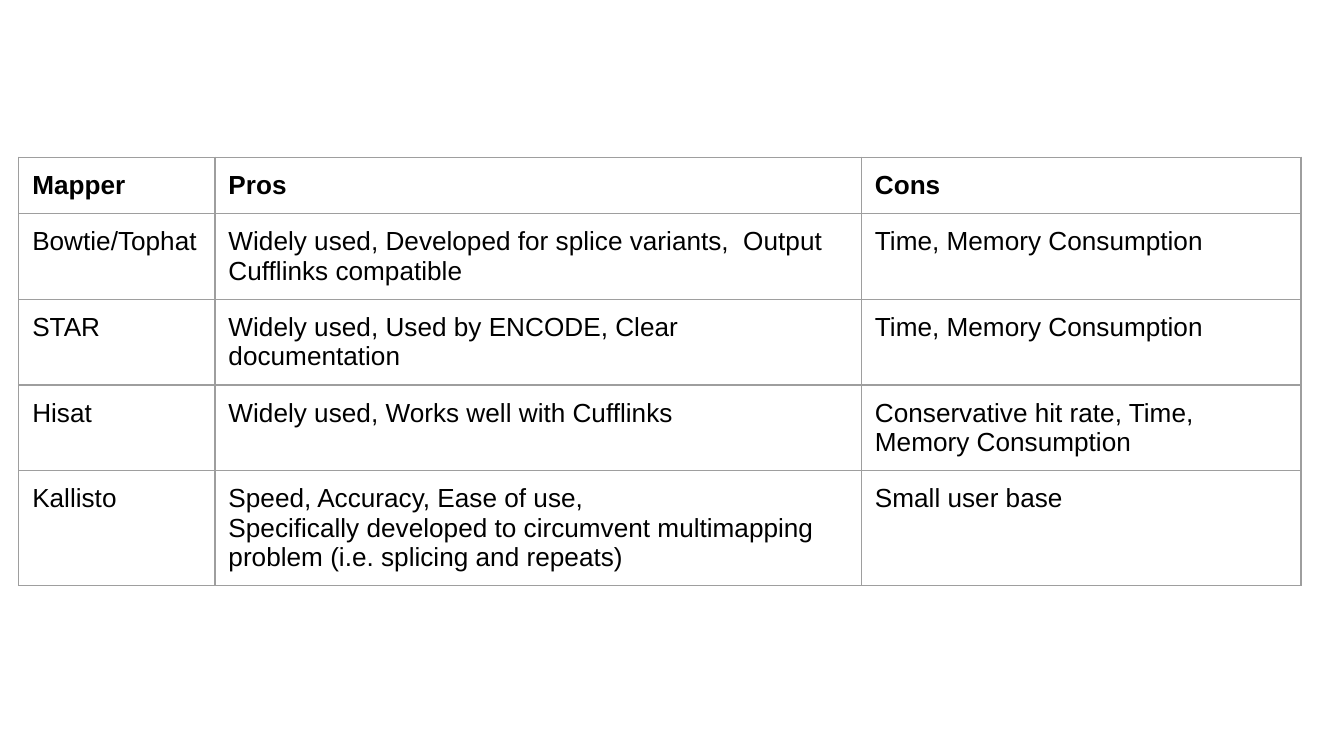
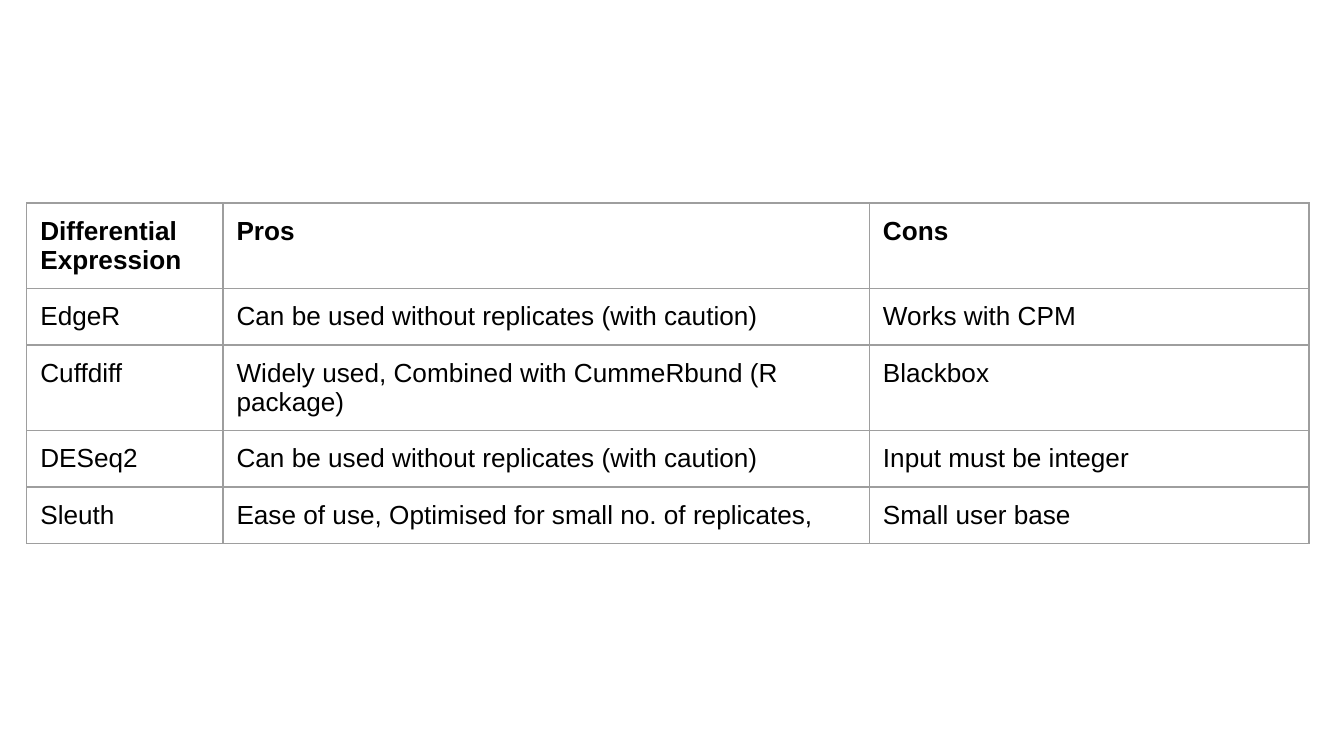
"""Two slides comparing read mappers and differential expression tools."""
import pptx
import pptx.dml.color
import pptx.oxml
import pptx.oxml.ns
import pptx.util

Inches = pptx.util.Inches
COLORS = {"text": "000000", "border": "9E9E9E", "page": "FFFFFF"}
FONT, TEXT_SIZE, BORDER_WIDTH = "Arial", 14, 0.75
SLIDE_WIDTH = 10
SLIDE_HEIGHT = SLIDE_WIDTH * 9 / 16
COLUMN_WIDTHS = (1.46, 4.81, 3.27)
ROW_HEIGHT, CELL_MARGIN = 0.42, 0.1

MAPPERS = [
    ("Mapper", "Pros", "Cons"),
    ("Bowtie/Tophat",
     "Widely used, Developed for splice variants,  Output Cufflinks compatible",
     "Time, Memory Consumption"),
    ("STAR", "Widely used, Used by ENCODE, Clear documentation",
     "Time, Memory Consumption"),
    ("Hisat", "Widely used, Works well with Cufflinks",
     "Conservative hit rate, Time, Memory Consumption"),
    ("Kallisto",
     "Speed, Accuracy, Ease of use,\nSpecifically developed to circumvent "
     "multimapping problem (i.e. splicing and repeats)",
     "Small user base"),
]
EXPRESSION_TOOLS = [
    ("Differential Expression", "Pros", "Cons"),
    ("EdgeR", "Can be used without replicates (with caution)", "Works with CPM"),
    ("Cuffdiff", "Widely used, Combined with CummeRbund (R package)", "Blackbox"),
    ("DESeq2", "Can be used without replicates (with caution)",
     "Input must be integer"),
    ("Sleuth", "Ease of use, Optimised for small no. of replicates,",
     "Small user base"),
]
PAGES = [(0.14, 1.17, MAPPERS), (0.2, 1.51, EXPRESSION_TOOLS)]


def rgb(name):
    return pptx.dml.color.RGBColor.from_string(COLORS[name])


def add_borders(cell):
    properties = cell._tc.get_or_add_tcPr()
    for side in ("lnL", "lnR", "lnT", "lnB"):
        properties.append(pptx.oxml.parse_xml(
            f'<a:{side} {pptx.oxml.ns.nsdecls("a")} w="{pptx.util.Pt(BORDER_WIDTH)}">'
            f'<a:solidFill><a:srgbClr val="{COLORS["border"]}"/></a:solidFill>'
            f'<a:prstDash val="solid"/></a:{side}>'))


def fill_cell(cell, text, bold):
    add_borders(cell)
    cell.fill.background()
    cell.margin_left = cell.margin_right = Inches(CELL_MARGIN)
    cell.margin_top = cell.margin_bottom = Inches(CELL_MARGIN)
    cell.text_frame.text = text
    for para in cell.text_frame.paragraphs:
        para.font.name = FONT
        para.font.size = pptx.util.Pt(TEXT_SIZE)
        para.font.bold = bold
        para.font.color.rgb = rgb("text")


def add_comparison(page, left, top, rows):
    frame = page.shapes.add_table(
        len(rows), len(COLUMN_WIDTHS), Inches(left), Inches(top),
        Inches(sum(COLUMN_WIDTHS)), Inches(ROW_HEIGHT * len(rows)))
    table = frame.table
    table.first_row = table.horz_banding = False
    for column, width in zip(table.columns, COLUMN_WIDTHS):
        column.width = Inches(width)
    for row_index, row in enumerate(rows):
        for column_index, text in enumerate(row):
            fill_cell(table.cell(row_index, column_index), text, row_index == 0)


def main():
    deck = pptx.Presentation()
    deck.slide_width = Inches(SLIDE_WIDTH)
    deck.slide_height = Inches(SLIDE_HEIGHT)
    for left, top, rows in PAGES:
        page = deck.slides.add_slide(deck.slide_layouts[6])
        page.background.fill.solid()
        page.background.fill.fore_color.rgb = rgb("page")
        add_comparison(page, left, top, rows)
    deck.save("out.pptx")


if __name__ == "__main__":
    main()
